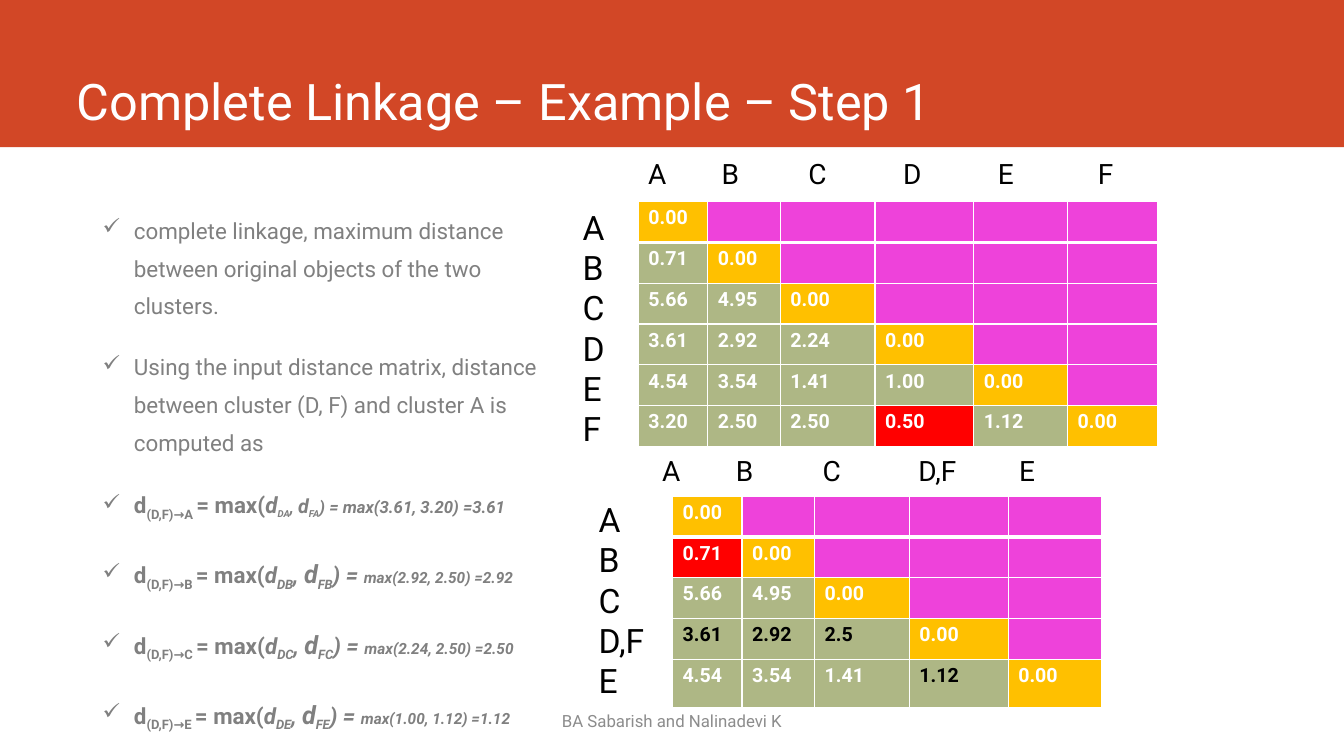
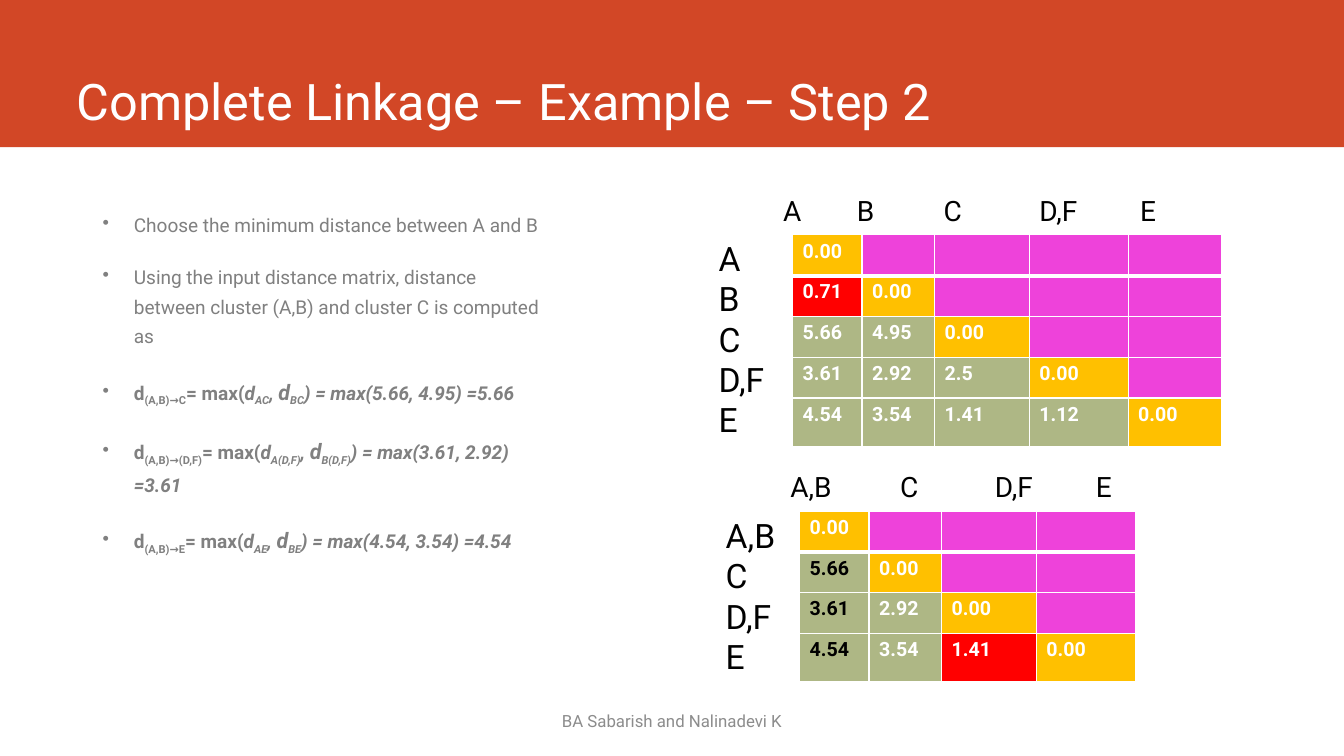
import pptx
import pptx.util
import pptx.dml.color
import pptx.enum.shapes
import pptx.enum.text
import pptx.oxml.ns
from lxml import etree

Inches = pptx.util.Inches
Pt = pptx.util.Pt
ALIGN = pptx.enum.text.PP_ALIGN
ANCHOR = pptx.enum.text.MSO_ANCHOR


def paint(code):
    return pptx.dml.color.RGBColor.from_string(code)


def node(root, tag, **attrs):
    item = etree.SubElement(root, pptx.oxml.ns.qn(tag))
    for name, value in attrs.items():
        item.set(name, str(value))
    return item


def write(para, text, size=16, color="000000", bold=False, slant=False, sub=False):
    run = para.add_run()
    run.text = text
    font = run.font
    font.name = "Roboto"
    font.size = Pt(size)
    font.bold = bold
    font.italic = slant
    font.color.rgb = paint(color)
    if sub:
        run._r.get_or_add_rPr().set("baseline", "-25000")


def rule(tag, left, right, size, mid, big, tail, sums):
    return [
        ("d", dict(size=size)),
        (tag, dict(size=size, sub=True)),
        ("= max(", dict(size=size)),
        ("d", dict(size=size, slant=True)),
        (left, dict(size=mid, slant=True, sub=True)),
        (", ", dict(size=mid, slant=True)),
        ("d", dict(size=big, slant=True)),
        (right, dict(size=mid, slant=True, sub=True)),
        (") = ", dict(size=mid, slant=True)),
        (sums, dict(size=tail, slant=True)),
    ]


class Deck:
    RED, GOLD, PINK, SAGE = "FF0000", "FFC000", "EE42DA", "AEB785"
    BAND, WHITE, BLACK, GRAY, PALE = "D24726", "FFFFFF", "000000", "808080", "8C8C8C"
    WIDE = (0.69, 0.72, 0.94, 0.98, 0.93, 0.89)
    ROW = Inches(2.43) // 6

    def __init__(self):
        self.show = pptx.Presentation()
        self.show.slide_width = Inches(13.33)
        self.show.slide_height = Inches(7.5)
        self.slide = None

    def page(self, title):
        self.slide = self.show.slides.add_slide(self.show.slide_layouts[5])
        self.band()
        head = self.slide.shapes.title
        head.left, head.top = Inches(0.66), Inches(0)
        head.width, head.height = Inches(11.76), Inches(1.32)
        frame = head.text_frame
        frame.vertical_anchor = ANCHOR.BOTTOM
        frame.margin_bottom = Inches(0.02)
        para = frame.paragraphs[0]
        para.alignment = ALIGN.LEFT
        write(para, title, size=36, color=self.WHITE)
        foot = self.box(5.08, 6.95, 3.17, 0.4)
        foot.vertical_anchor = ANCHOR.MIDDLE
        foot.paragraphs[0].alignment = ALIGN.CENTER
        write(foot.paragraphs[0], "BA Sabarish and Nalinadevi K", size=12, color=self.PALE)

    def band(self):
        kind = pptx.enum.shapes.MSO_SHAPE.RECTANGLE
        shape = self.slide.shapes.add_shape(kind, 0, 0, self.show.slide_width, Inches(1.46))
        shape.shadow.inherit = False
        shape.fill.solid()
        shape.fill.fore_color.rgb = paint(self.BAND)
        shape.line.fill.background()
        self.slide.shapes.element.insert(2, shape.element)

    def box(self, left, top, width, height):
        shape = self.slide.shapes.add_textbox(
            Inches(left), Inches(top), Inches(width), Inches(height))
        shape.text_frame.word_wrap = True
        return shape.text_frame

    def lines(self, frame, count):
        return [frame.paragraphs[0]] + [frame.add_paragraph() for _ in range(count - 1)]

    def points(self, width, height, items, mark, size, space):
        frame = self.box(0.92, 2, width, height)
        for spot, (para, item) in enumerate(zip(self.lines(frame, len(items)), items)):
            para.line_spacing = space
            para.space_before = Pt(0.3 * size if spot else 0)
            para.space_after = Pt(12)
            props = para._p.get_or_add_pPr()
            props.set("marL", str(Inches(0.31)))
            props.set("indent", str(-Inches(0.31)))
            node(props, "a:buChar", char=mark)
            if isinstance(item, str):
                write(para, item, size=size, color=self.GRAY)
            else:
                for text, style in item:
                    write(para, text, color=self.GRAY, bold=True, **style)

    def side(self, left, top, width, names):
        frame = self.box(left, top, width, 0.1 + 0.4 * len(names))
        for para, name in zip(self.lines(frame, len(names)), names):
            write(para, name, size=24)

    def heads(self, left, top, names, stops):
        para = self.box(left, top, 5.16, 0.44).paragraphs[0]
        tabs = node(para._p.get_or_add_pPr(), "a:tabLst")
        for stop in stops:
            node(tabs, "a:tab", pos=Inches(stop), algn="l")
        write(para, "\t".join(names), size=20)

    def edges(self, cell, first):
        props = cell._tc.get_or_add_tcPr()
        for spot, side in enumerate(("L", "R", "T", "B")):
            width = 3 if first and side == "B" else 1
            line = etree.Element(pptx.oxml.ns.qn("a:ln" + side), w=str(Pt(width)))
            node(node(line, "a:solidFill"), "a:srgbClr", val=self.WHITE)
            props.insert(spot, line)

    def matrix(self, left, top, rows, red, dark=(), last=None):
        count = len(rows)
        wide = self.WIDE[:count]
        table = self.slide.shapes.add_table(
            count, count, Inches(left), Inches(top),
            Inches(sum(wide)), self.ROW * count).table
        table.first_row = table.horz_banding = False
        for col, width in zip(table.columns, wide):
            col.width = Inches(width)
        for row in table.rows:
            row.height = self.ROW
        if last:
            table.rows[count - 1].height = Inches(last)
        for y, row in enumerate(rows):
            values = row.split()
            for x in range(count):
                cell = table.cell(y, x)
                fill = self.GOLD if x == y else self.PINK if x > y else self.SAGE
                cell.fill.solid()
                cell.fill.fore_color.rgb = paint(self.RED if (y, x) == red else fill)
                self.edges(cell, y == 0)
                ink = self.BLACK if (y, x) in dark else self.WHITE
                write(cell.text_frame.paragraphs[0], values[x] if x <= y else "",
                      size=14, color=ink, bold=True)


def main():
    deck = Deck()
    five = ["A", "B", "C", "D,F", "E"]
    stops = (0.73, 1.59, 2.54, 3.54)
    pairs = ["0.00", "0.71 0.00", "5.66 4.95 0.00", "3.61 2.92 2.5 0.00",
             "4.54 3.54 1.41 1.12 0.00"]

    deck.page("Complete Linkage – Example – Step 1")
    sums = [("B", "max(2.92, 2.50) =2.92"), ("C", "max(2.24, 2.50) =2.50"),
            ("E", "max(1.00, 1.12) =1.12")]
    deck.points(4.76, 5.36, [
        "complete linkage, maximum distance between original objects of the two clusters.",
        "Using the input distance matrix, distance between cluster (D, F) and cluster A "
        "is computed as",
        rule("(D,F)→A ", "DA", "FA", 16, 12, 14, 12, "max(3.61, 3.20) =3.61"),
        *(rule(f"(D,F)→{to} ", "D" + to, "F" + to, 16, 16, 18, 11, text)
          for to, text in sums),
    ], "✓", 16, 1.4)
    deck.matrix(6.33, 2, [
        "0.00", "0.71 0.00", "5.66 4.95 0.00", "3.61 2.92 2.24 0.00",
        "4.54 3.54 1.41 1.00 0.00", "3.20 2.50 2.50 0.50 1.12 0.00"], (5, 3))
    deck.side(5.68, 2, 0.58, "ABCDEF")
    deck.heads(6.33, 1.5, "ABCDEF", (0.73, 1.59, 2.53, 3.47, 4.46))
    deck.matrix(6.67, 4.92, pairs, (1, 0), {(3, 0), (3, 1), (3, 2), (4, 3)}, 0.48)
    deck.side(5.84, 4.9, 0.84, five)
    deck.heads(6.47, 4.45, five, stops)

    deck.page("Complete Linkage – Example – Step 2")
    sums = [("C", "max(5.66, 4.95) =5.66"), ("(D,F)", "max(3.61, 2.92) =3.61"),
            ("E", "max(4.54, 3.54) =4.54")]
    deck.points(4.56, 4.76, [
        "Choose the minimum distance between A and B",
        "Using the input distance matrix, distance between cluster (A,B) and cluster C "
        "is computed as",
        *(rule(f"(A,B)→{to}", "A" + to, "B" + to, 13.6, 13.6, 15.3, 13.6, text)
          for to, text in sums),
    ], "•", 13.6, 1.3)
    deck.matrix(7.86, 2.33, pairs, (1, 0), last=0.48)
    deck.side(7.03, 2.31, 0.84, five)
    deck.heads(7.67, 1.87, five, stops)
    four = ["A,B", "C", "D,F", "E"]
    deck.matrix(7.93, 5.07, [
        "0.00", "5.66 0.00", "3.61 2.92 0.00", "4.54 3.54 1.41 0.00"],
        (3, 2), {(1, 0), (2, 0), (3, 0)}, 0.48)
    deck.side(7.1, 5.06, 0.84, four)
    deck.heads(7.74, 4.61, four, (1.09, 2.03, 3.03))

    deck.show.save("out.pptx")


if __name__ == "__main__":
    main()
